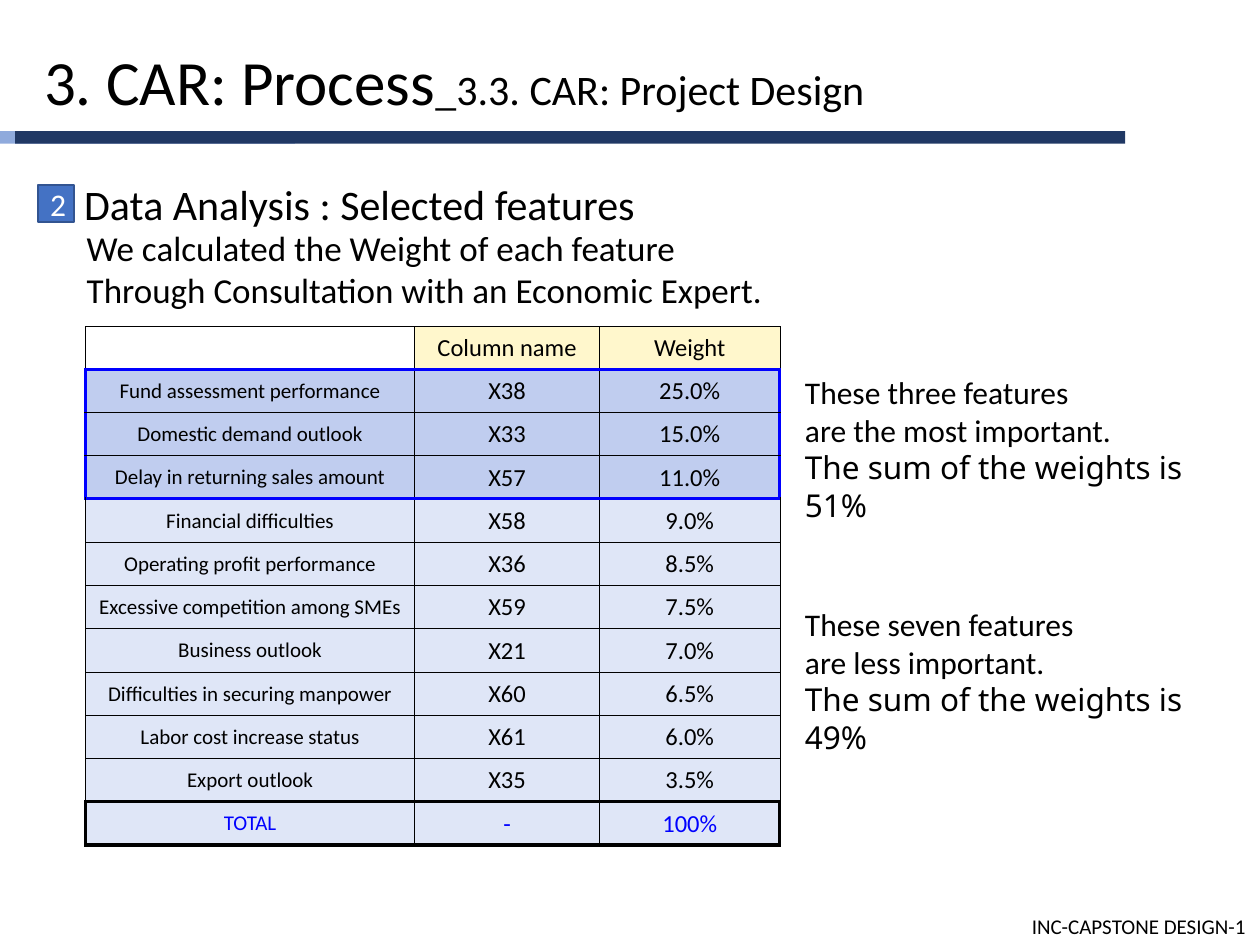
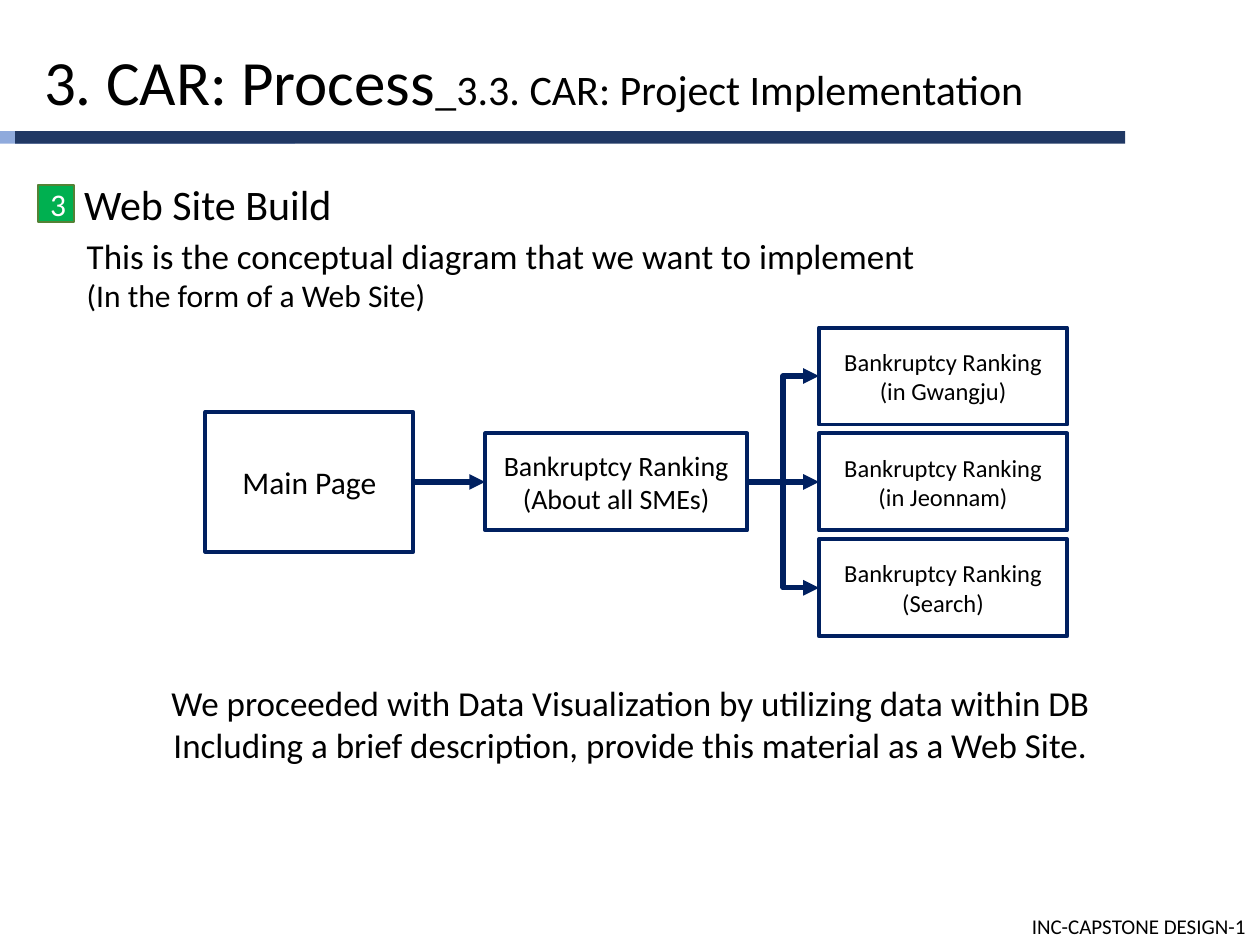
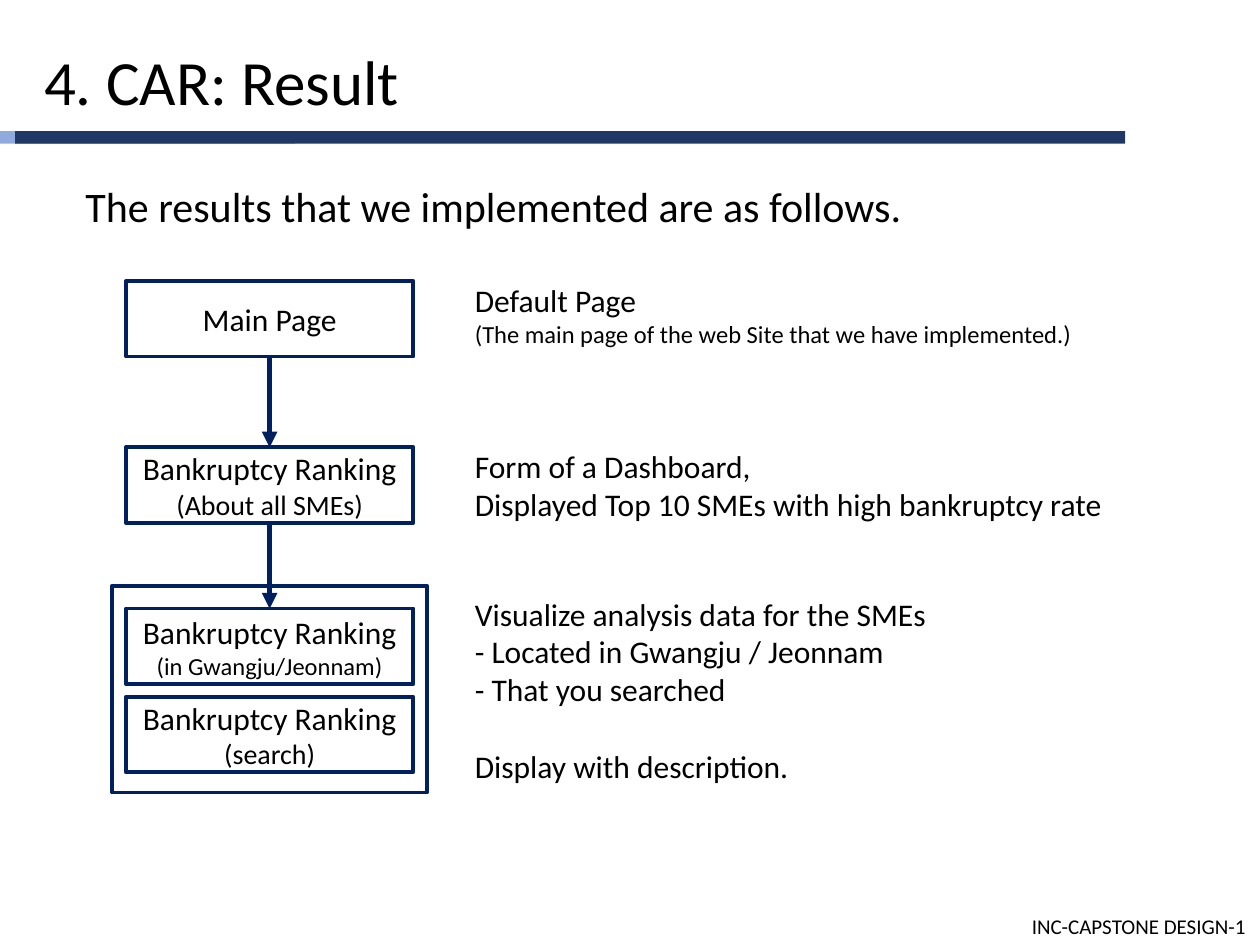
"""Builds three slides on the process and result of the CAR project."""
from lxml import etree
from pptx import Presentation
from pptx.dml.color import RGBColor
from pptx.enum.shapes import MSO_CONNECTOR, MSO_SHAPE
from pptx.enum.text import MSO_ANCHOR, PP_ALIGN
from pptx.oxml.ns import qn
from pptx.util import Inches, Pt

RECTANGLE = MSO_SHAPE.RECTANGLE
STRAIGHT, ELBOW = MSO_CONNECTOR.STRAIGHT, MSO_CONNECTOR.ELBOW
LEFT, CENTER = PP_ALIGN.LEFT, PP_ALIGN.CENTER
TOP, MIDDLE = MSO_ANCHOR.TOP, MSO_ANCHOR.MIDDLE
SITE_LEFT, SITE_BOTTOM, SITE_RIGHT = 1, 2, 3

BLACK = RGBColor(0x00, 0x00, 0x00)
WHITE = RGBColor(0xFF, 0xFF, 0xFF)
BLUE = RGBColor(0x00, 0x00, 0xFF)
NAVY = RGBColor(0x00, 0x20, 0x60)
BAND_DARK = RGBColor(0x20, 0x38, 0x64)
BAND_LIGHT = RGBColor(0x8F, 0xAA, 0xDC)
BADGE_BLUE = RGBColor(0x44, 0x72, 0xC4)
BADGE_BLUE_EDGE = RGBColor(0x32, 0x54, 0x91)
BADGE_GREEN = RGBColor(0x00, 0xB0, 0x50)
BADGE_GREEN_EDGE = RGBColor(0x54, 0x82, 0x35)
HEADER_FILL = RGBColor(0xFF, 0xF7, 0xCC)
KEY_FILL = RGBColor(0xC0, 0xCD, 0xEF)
ROW_FILL = RGBColor(0xDF, 0xE6, 0xF7)
BODY_FONT, SUM_FONT = "Calibri", "Noto Sans"

FOOTER = "INC-CAPSTONE DESIGN-1"
BANDS = [((0, 1.04, 2.34, 0.1), BAND_LIGHT), ((0.12, 1.04, 8.81, 0.1), BAND_DARK)]

ANALYSIS = {
    "title": [("3. CAR: Process", 36), ("_3.3. CAR: Project Design", 24)],
    "badge": ("2", BADGE_BLUE, BADGE_BLUE_EDGE),
    "texts": [
        ((0.57, 1.37, 9.13, 0.5), [("Data Analysis : Selected features", 24)]),
        ((0.59, 1.75, 8.07, 0.77), [
            ("We calculated the Weight of each feature", 20),
            ("Through Consultation with an Economic Expert.", 20)]),
        ((6.29, 2.91, 3.31, 1.01), [
            ("These three features", 18), ("are the most important.", 18),
            ("The sum of the weights is 51%", 18, SUM_FONT)]),
        ((6.29, 4.75, 3.31, 1.01), [
            ("These seven features", 18), ("are less important.", 18),
            ("The sum of the weights is 49%", 18, SUM_FONT)]),
    ],
}
WEIGHTS = [
    ("", "Column name", "Weight"),
    ("Fund assessment performance", "X38", "25.0%"),
    ("Domestic demand outlook", "X33", "15.0%"),
    ("Delay in returning sales amount", "X57", "11.0%"),
    ("Financial difficulties", "X58", "9.0%"),
    ("Operating profit performance", "X36", "8.5%"),
    ("Excessive competition among SMEs", "X59", "7.5%"),
    ("Business outlook", "X21", "7.0%"),
    ("Difficulties in securing manpower", "X60", "6.5%"),
    ("Labor cost increase status", "X61", "6.0%"),
    ("Export outlook", "X35", "3.5%"),
    ("TOTAL", "-", "100%"),
]
TABLE_AREA = (0.68, 2.59, 5.52, 4.09)
COLUMN_WIDTHS = (2.61, 1.47, 1.43)
HEADER_HEIGHT = 0.31
KEY_ROWS = range(1, 4)
TOTAL_ROW = len(WEIGHTS) - 1
THICK_RULES = {1: BLUE, 4: BLUE, TOTAL_ROW: BLACK, TOTAL_ROW + 1: BLACK}
THICK_SIDES = {**dict.fromkeys(KEY_ROWS, BLUE), TOTAL_ROW: BLACK}

WEBSITE = {
    "title": [("3. CAR: Process", 36), ("_3.3. CAR: Project Implementation", 24)],
    "badge": ("3", BADGE_GREEN, BADGE_GREEN_EDGE),
    "texts": [
        ((0.57, 1.37, 9.13, 0.5), [("Web Site Build", 24)]),
        ((0.59, 1.81, 8.07, 0.74), [
            ("This is the conceptual diagram that we want to implement", 20),
            ("(In the form of a Web Site)", 18)]),
    ],
}
CLOSING = [
    ("We proceeded with Data Visualization by utilizing data within DB", 20),
    ("Including a brief description, provide this material as a Web Site.", 20),
]
RANKING_PAGES = ["(in Gwangju)", "(in Jeonnam)", "(Search)"]

RESULT = {
    "title": [("4. CAR: Result", 36)],
    "texts": [
        ((0.58, 1.38, 7.5, 0.5), [("The results that we implemented are as follows.", 24)]),
        ((3.67, 2.18, 5.58, 0.64), [
            ("Default Page", 18),
            ("(The main page of the web Site that we have implemented.)", 14)]),
        ((3.67, 3.5, 5.58, 0.71), [
            ("Form of a Dashboard,", 18),
            ("Displayed Top 10 SMEs with high bankruptcy rate", 18)]),
    ],
}
DETAILS = [
    ("Visualize analysis data for the SMEs", 18),
    ("- Located in Gwangju / Jeonnam", 18),
    ("- That you searched", 18),
    ("Display with description.", 18),
]
RESULT_STEPS = [
    (2.23, [("Main Page", 18)]),
    (3.55, [("Bankruptcy Ranking", 18), ("(About all SMEs)", 16)]),
    (4.83, [("Bankruptcy Ranking", 18), ("(in Gwangju/Jeonnam)", 14)]),
    (5.53, [("Bankruptcy Ranking", 18), ("(search)", 16)]),
]


def inches(area):
    return [Inches(value) for value in area]


def set_all(target, values):
    for name, value in values.items():
        setattr(target, name, value)


def add_span(para, text, size, font=BODY_FONT, color=BLACK):
    span = para.add_run()
    span.text = text
    set_all(span.font, {"name": font, "size": Pt(size)})
    span.font.color.rgb = color


def write(frame, lines, align=LEFT, color=BLACK):
    for index, line in enumerate(lines):
        para = frame.add_paragraph() if index else frame.paragraphs[0]
        para.alignment = align
        add_span(para, *line, color=color)


def add_text(page, area, lines, align=LEFT):
    box = page.shapes.add_textbox(*inches(area))
    box.text_frame.word_wrap = True
    write(box.text_frame, lines, align)
    return box


def add_box(page, area, lines=(), fill=None, edge=NAVY, width=2.25, color=BLACK):
    box = page.shapes.add_shape(RECTANGLE, *inches(area))
    box.shadow.inherit = False
    if fill is None:
        box.fill.background()
    else:
        box.fill.solid()
        box.fill.fore_color.rgb = fill
    if edge is None:
        box.line.fill.background()
    else:
        box.line.color.rgb = edge
        box.line.width = Pt(width)
    box.text_frame.vertical_anchor = MIDDLE
    write(box.text_frame, lines, CENTER, color)
    return box


def add_arrow(page, start, end, sites, kind=STRAIGHT):
    arrow = page.shapes.add_connector(kind, 0, 0, 0, 0)
    arrow.begin_connect(start, sites[0])
    arrow.end_connect(end, sites[1])
    arrow.line.color.rgb = NAVY
    arrow.line.width = Pt(3)
    etree.SubElement(arrow.line._get_or_add_ln(), qn("a:tailEnd"), type="triangle")
    etree.SubElement(arrow.element.spPr, qn("a:effectLst"))


def add_page(deck, content):
    page = deck.slides.add_slide(deck.slide_layouts[5])
    title = page.shapes.title
    set_all(title, dict(zip(("left", "top", "width", "height"), inches((0.25, 0.29, 9.5, 0.71)))))
    set_all(title.text_frame, {"vertical_anchor": TOP, "word_wrap": True})
    para = title.text_frame.paragraphs[0]
    para.alignment = LEFT
    for text, size in content["title"]:
        add_span(para, text, size)
    for area, lines in content["texts"]:
        add_text(page, area, lines)
    if "badge" in content:
        number, fill, edge = content["badge"]
        add_box(page, (0.3, 1.47, 0.29, 0.29), [(number, 18)], fill, edge, 1, WHITE)
    return page


def share_bands_and_footer(page):
    shared = [add_box(page, area, fill=fill, edge=None) for area, fill in BANDS]
    shared.append(add_text(page, (8.09, 7.2, 1.91, 0.3), [(FOOTER, 12)]))
    for shape in shared:
        page.slide_layout.element.cSld.spTree.append(shape.element)


def add_border(cell, side, color):
    width = Pt(0.28) if color is None else Pt(1.98)
    line = etree.SubElement(cell._tc.get_or_add_tcPr(), qn(f"a:ln{side}"), w=str(int(width)))
    fill = etree.SubElement(line, qn("a:solidFill"))
    etree.SubElement(fill, qn("a:srgbClr"), val=str(color or BLACK))


def format_cell(cell, row, column, text):
    last = len(COLUMN_WIDTHS) - 1
    side = THICK_SIDES.get(row)
    add_border(cell, "L", side if column == 0 else None)
    add_border(cell, "R", side if column == last else None)
    add_border(cell, "T", THICK_RULES.get(row))
    add_border(cell, "B", THICK_RULES.get(row + 1))
    set_all(cell, {
        "vertical_anchor": MIDDLE,
        "margin_left": Inches(0.07), "margin_right": Inches(0.07),
        "margin_top": Inches(0.02), "margin_bottom": Inches(0.02)})
    if not text:
        cell.fill.background()
        return
    cell.fill.solid()
    cell.fill.fore_color.rgb = HEADER_FILL if row == 0 else KEY_FILL if row in KEY_ROWS else ROW_FILL
    write(cell.text_frame, [(text, 14 if column else 12)], CENTER,
          BLUE if row == TOTAL_ROW else BLACK)
    cell.text_frame.paragraphs[0].line_spacing = 1.03


def add_weights(page):
    frame = page.shapes.add_table(len(WEIGHTS), len(COLUMN_WIDTHS), *inches(TABLE_AREA))
    table = frame.table
    set_all(table, {"first_row": False, "horz_banding": False})
    for column, width in zip(table.columns, COLUMN_WIDTHS):
        column.width = Inches(width)
    row_height = (TABLE_AREA[3] - HEADER_HEIGHT) / TOTAL_ROW
    for row, values in enumerate(WEIGHTS):
        table.rows[row].height = Inches(row_height if row else HEADER_HEIGHT)
        for column, text in enumerate(values):
            format_cell(table.cell(row, column), row, column, text)


def add_site_map(page):
    add_text(page, (0.97, 5.36, 8.07, 0.77), CLOSING, CENTER)
    main = add_box(page, (1.63, 3.27, 1.65, 1.11), [("Main Page", 18)])
    overall = add_box(page, (3.85, 3.44, 2.08, 0.77),
                      [("Bankruptcy Ranking", 16), ("(About all SMEs)", 16)])
    sites = (SITE_RIGHT, SITE_LEFT)
    add_arrow(page, main, overall, sites)
    for index, label in enumerate(RANKING_PAGES):
        ranking = add_box(page, (6.5, 2.6 + 0.84 * index, 1.97, 0.77),
                          [("Bankruptcy Ranking", 14), (label, 14)])
        add_arrow(page, overall, ranking, sites, STRAIGHT if index == 1 else ELBOW)


def add_result_flow(page):
    details = add_text(page, (3.67, 4.67, 5, 1.62), DETAILS)
    details.text_frame.paragraphs[-1].space_before = Pt(22)
    steps = [add_box(page, (1, top, 2.28, 0.6), lines) for top, lines in RESULT_STEPS]
    add_box(page, (0.89, 4.65, 2.5, 1.64))
    for start, end in zip(steps[:2], steps[1:3]):
        add_arrow(page, start, end, (SITE_BOTTOM, 0))


def main():
    deck = Presentation()
    deck.slide_width, deck.slide_height = inches((10, 7.5))
    analysis = add_page(deck, ANALYSIS)
    share_bands_and_footer(analysis)
    add_weights(analysis)
    add_site_map(add_page(deck, WEBSITE))
    add_result_flow(add_page(deck, RESULT))
    deck.save("out.pptx")


if __name__ == "__main__":
    main()
